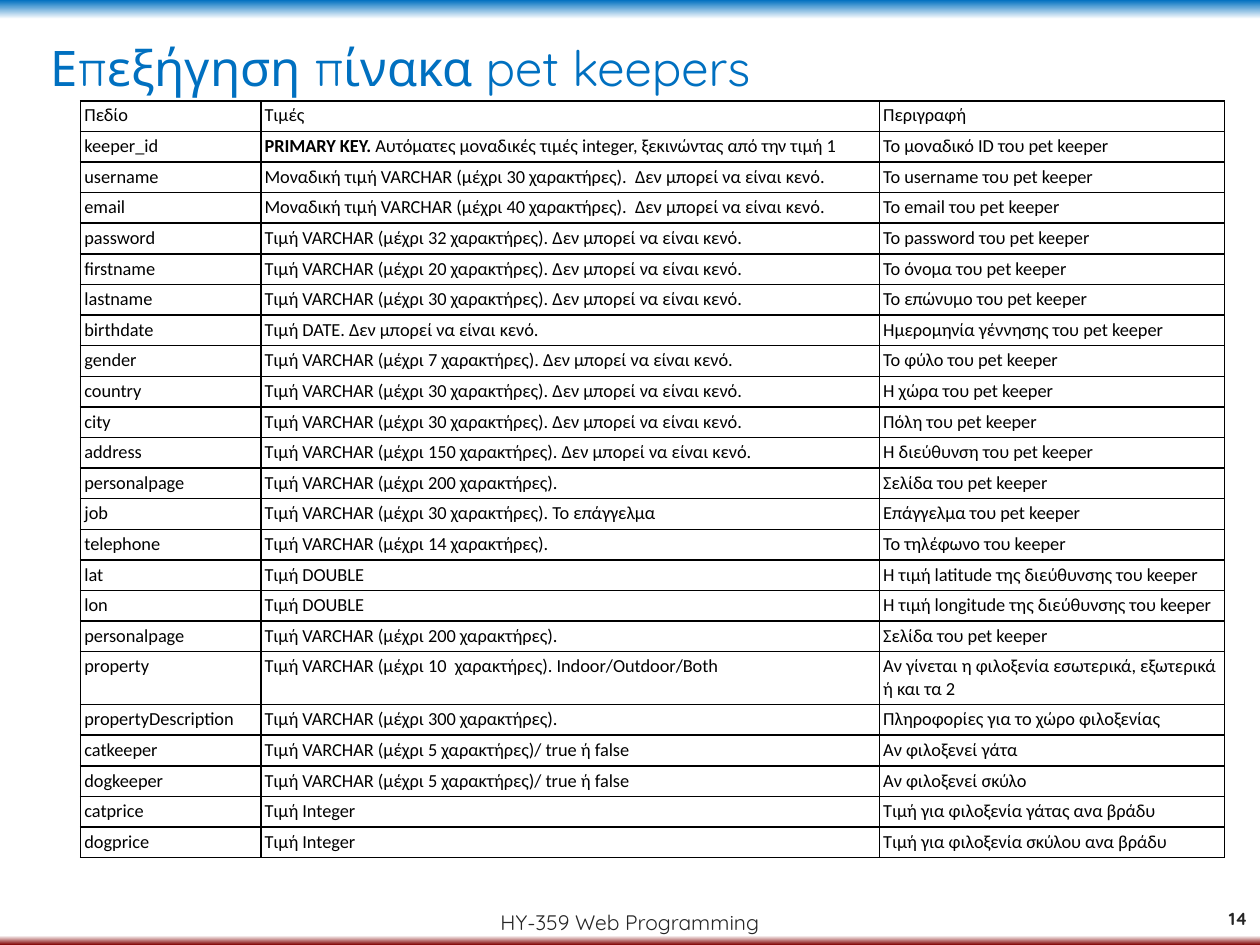
from typing import NamedTuple

import pptx
import pptx.dml.color
import pptx.enum.shapes
import pptx.enum.text
import pptx.oxml
import pptx.oxml.ns
import pptx.util
from pptx.dml.color import RGBColor
from pptx.util import Inches

BLUE = RGBColor(0x00, 0x70, 0xC0)
WHITE = RGBColor(0xFF, 0xFF, 0xFF)
MAROON = RGBColor(0x80, 0x00, 0x00)
BLACK = RGBColor(0x00, 0x00, 0x00)
CHARCOAL = RGBColor(0x26, 0x26, 0x26)

HEADING_FONT = "Quicksand"
TABLE_FONT = "Calibri"
BACKGROUND_STOPS = ((0, BLUE), (2, WHITE), (99, WHITE), (100, MAROON))

COLUMN_WIDTHS = (1.43, 4.91, 2.74)
TABLE_HEIGHT = 6.01
TWO_LINE_HEIGHT = 0.42
TWO_LINE_FIELD = "property"
CELL_INSET = Inches(0.03)
KEY_LABEL = "PRIMARY KEY. "
REQUIRED = " Δεν μπορεί να είναι κενό."


class Field(NamedTuple):
    name: str
    values: str
    description: str


class Label(NamedTuple):
    text: str
    left: float
    top: float
    width: float
    height: float
    size: float
    color: RGBColor
    align: pptx.enum.text.PP_ALIGN
    anchor: pptx.enum.text.MSO_ANCHOR
    bold: bool = False


def varchar(limit: int, note: str = "") -> str:
    return f"Τιμή VARCHAR (μέχρι {limit} χαρακτήρες).{note}"


def unique_varchar(limit: int) -> str:
    return f"Μοναδική τιμή VARCHAR (μέχρι {limit} χαρακτήρες).\N{NO-BREAK SPACE}{REQUIRED}"


BOOLEAN = "Τιμή VARCHAR (μέχρι 5 χαρακτήρες)/ true ή false"
PERSONAL_PAGE = Field("personalpage", varchar(200), "Σελίδα του pet keeper")

FIELDS = (
    Field("Πεδίο", "Τιμές", "Περιγραφή"),
    Field("keeper_id", KEY_LABEL + "Αυτόματες μοναδικές τιμές integer, ξεκινώντας από την τιμή 1",
          "Το μοναδικό ID του pet keeper"),
    Field("username", unique_varchar(30), "Το username του pet keeper"),
    Field("email", unique_varchar(40), "Το email του pet keeper"),
    Field("password", varchar(32, REQUIRED), "Το password του pet keeper"),
    Field("firstname", varchar(20, REQUIRED), "Το όνομα του pet keeper"),
    Field("lastname", varchar(30, REQUIRED), "Το επώνυμο του pet keeper"),
    Field("birthdate", "Τιμή DATE." + REQUIRED, "Ημερομηνία γέννησης του pet keeper"),
    Field("gender", varchar(7, REQUIRED), "Το φύλο του pet keeper"),
    Field("country", varchar(30, REQUIRED), "Η χώρα του pet keeper"),
    Field("city", varchar(30, REQUIRED), "Πόλη του pet keeper"),
    Field("address", varchar(150, REQUIRED), "Η διεύθυνση του pet keeper"),
    PERSONAL_PAGE,
    Field("job", varchar(30, " Το επάγγελμα"), "Επάγγελμα του pet keeper"),
    Field("telephone", varchar(14), "Το τηλέφωνο του keeper"),
    Field("lat", "Τιμή DOUBLE", "Η τιμή latitude της διεύθυνσης του keeper"),
    Field("lon", "Τιμή DOUBLE", "Η τιμή longitude της διεύθυνσης του keeper"),
    PERSONAL_PAGE,
    Field(TWO_LINE_FIELD,
          "Τιμή VARCHAR (μέχρι 10\N{NO-BREAK SPACE} χαρακτήρες). Indoor/Outdoor/Both",
          "Αν γίνεται η φιλοξενία εσωτερικά, εξωτερικά ή και τα 2"),
    Field("propertyDescription", varchar(300), "Πληροφορίες για το χώρο φιλοξενίας"),
    Field("catkeeper", BOOLEAN, "Αν φιλοξενεί γάτα"),
    Field("dogkeeper", BOOLEAN, "Αν φιλοξενεί σκύλο"),
    Field("catprice", "Τιμή Integer", "Τιμή για φιλοξενία γάτας ανα βράδυ"),
    Field("dogprice", "Τιμή Integer", "Τιμή για φιλοξενία σκύλου ανα βράδυ"),
)

ALIGN = pptx.enum.text.PP_ALIGN
ANCHOR = pptx.enum.text.MSO_ANCHOR
LABELS = (
    Label("HY-359 Web Programming", 0, 7.09, 10, 0.45, 12, CHARCOAL, ALIGN.CENTER, ANCHOR.MIDDLE),
    Label("14", 9.46, 7.09, 0.54, 0.4, 10, CHARCOAL, ALIGN.RIGHT, ANCHOR.MIDDLE, bold=True),
    Label("Επεξήγηση πίνακα pet keepers", 0.3, 0.25, 9.41, 0.71, 28, BLUE, ALIGN.LEFT, ANCHOR.TOP),
)


def add_run(paragraph, text: str, font: str, size: float, color: RGBColor, bold: bool = False) -> None:
    run = paragraph.add_run()
    run.text = text
    run.font.name = font
    run.font.size = pptx.util.Pt(size)
    run.font.color.rgb = color
    run.font.bold = bold


def paint_background(slide) -> None:
    fill = slide.background.fill
    fill.gradient()
    fill.gradient_angle = 270
    stops = slide.element.find(".//" + pptx.oxml.ns.qn("a:gsLst"))
    for stop in list(stops):
        stops.remove(stop)
    for percent, color in BACKGROUND_STOPS:
        stops.append(pptx.oxml.parse_xml(
            f'<a:gs {pptx.oxml.ns.nsdecls("a")} pos="{percent * 1000}">'
            f'<a:srgbClr val="{color}"/></a:gs>'))


def add_content_panel(slide) -> None:
    panel = slide.shapes.add_shape(pptx.enum.shapes.MSO_SHAPE.RECTANGLE,
                                   Inches(0.5), Inches(0.36), Inches(9.22), Inches(6.76))
    panel.shadow.inherit = False
    panel.fill.solid()
    panel.fill.fore_color.rgb = WHITE
    panel.line.fill.background()


def add_label(slide, label: Label) -> None:
    frame = slide.shapes.add_textbox(Inches(label.left), Inches(label.top),
                                     Inches(label.width), Inches(label.height)).text_frame
    frame.word_wrap = True
    frame.vertical_anchor = label.anchor
    paragraph = frame.paragraphs[0]
    paragraph.alignment = label.align
    add_run(paragraph, label.text, HEADING_FONT, label.size, label.color, label.bold)


def outline_cell(cell) -> None:
    """Draw 1 pt borders on all four sides and leave the cell unfilled."""
    cell.fill.background()
    properties = cell._tc.get_or_add_tcPr()
    for index, side in enumerate(("lnL", "lnR", "lnT", "lnB")):
        properties.insert(index, pptx.oxml.parse_xml(
            f'<a:{side} {pptx.oxml.ns.nsdecls("a")} w="{pptx.util.Pt(1)}">'
            f'<a:solidFill><a:srgbClr val="{BLACK}"/></a:solidFill></a:{side}>'))


def fill_cell(cell, text: str) -> None:
    cell.margin_left = cell.margin_right = CELL_INSET
    cell.margin_top = cell.margin_bottom = CELL_INSET
    outline_cell(cell)
    paragraph = cell.text_frame.paragraphs[0]
    if text.startswith(KEY_LABEL):
        add_run(paragraph, KEY_LABEL, TABLE_FONT, 10.5, BLACK, bold=True)
        text = text.removeprefix(KEY_LABEL)
    add_run(paragraph, text, TABLE_FONT, 10.5, BLACK)


def add_field_table(slide) -> None:
    table = slide.shapes.add_table(len(FIELDS), len(COLUMN_WIDTHS), Inches(0.64), Inches(0.8),
                                   Inches(sum(COLUMN_WIDTHS)), Inches(TABLE_HEIGHT)).table
    table.first_row = table.horz_banding = False
    for column, width in zip(table.columns, COLUMN_WIDTHS):
        column.width = Inches(width)
    one_line_height = (TABLE_HEIGHT - TWO_LINE_HEIGHT) / (len(FIELDS) - 1)
    for row, field in zip(table.rows, FIELDS):
        row.height = Inches(TWO_LINE_HEIGHT if field.name == TWO_LINE_FIELD else one_line_height)
        for cell, text in zip(row.cells, field):
            fill_cell(cell, text)


def main() -> None:
    presentation = pptx.Presentation()
    presentation.slide_width, presentation.slide_height = Inches(10), Inches(7.5)
    slide = presentation.slides.add_slide(presentation.slide_layouts[6])
    paint_background(slide)
    add_content_panel(slide)
    for label in LABELS:
        add_label(slide, label)
    add_field_table(slide)
    presentation.save("out.pptx")


if __name__ == "__main__":
    main()
